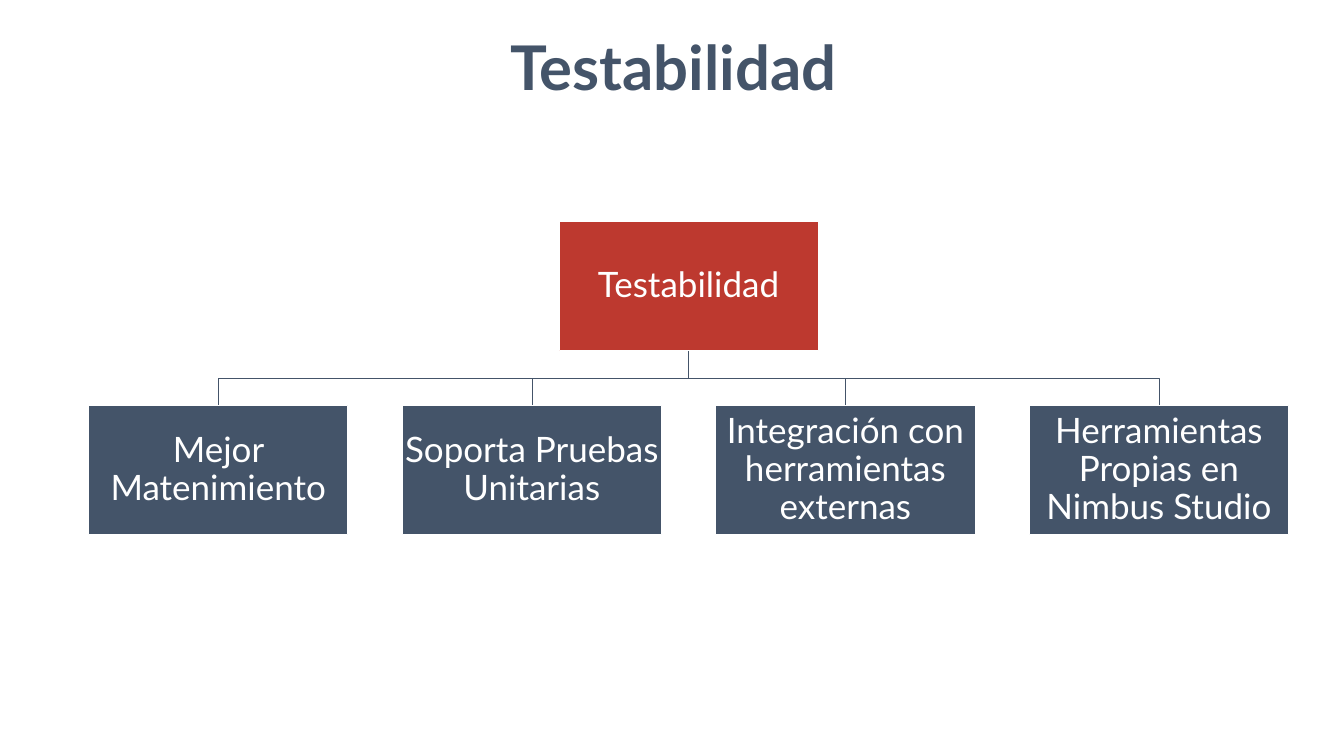
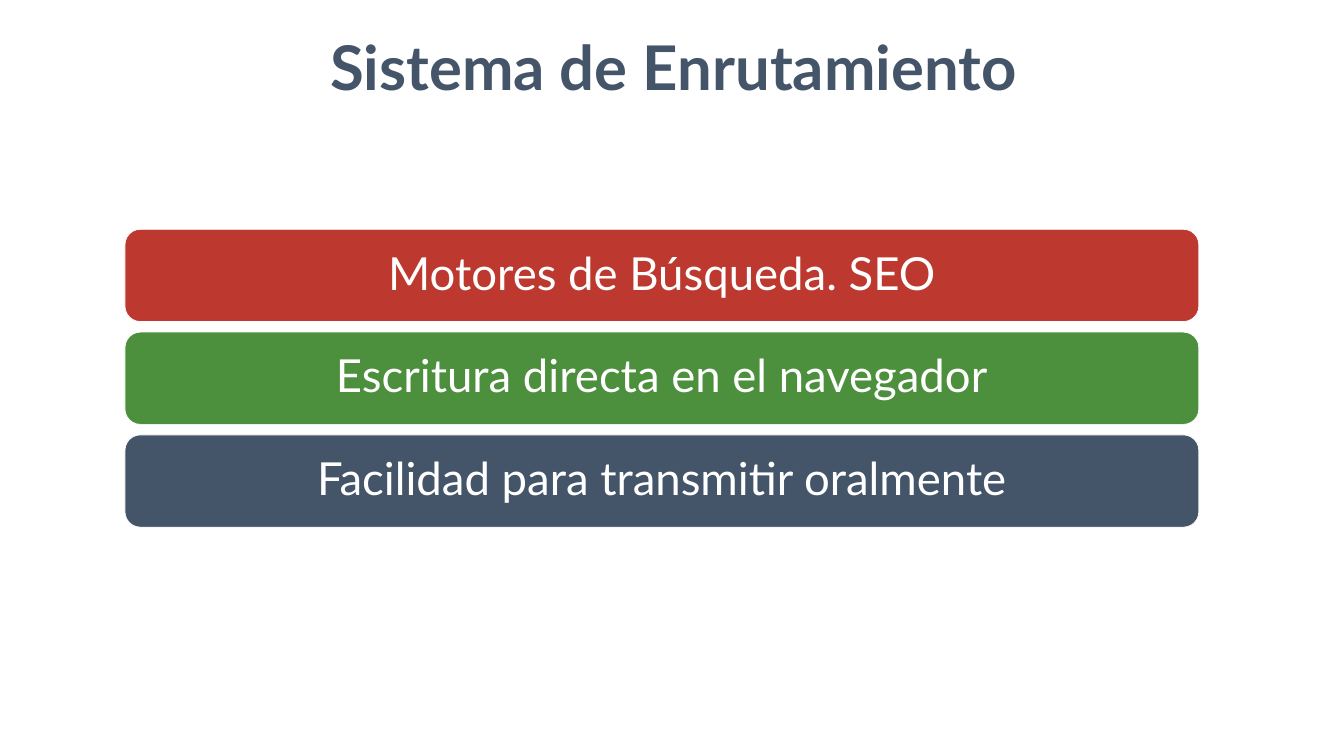
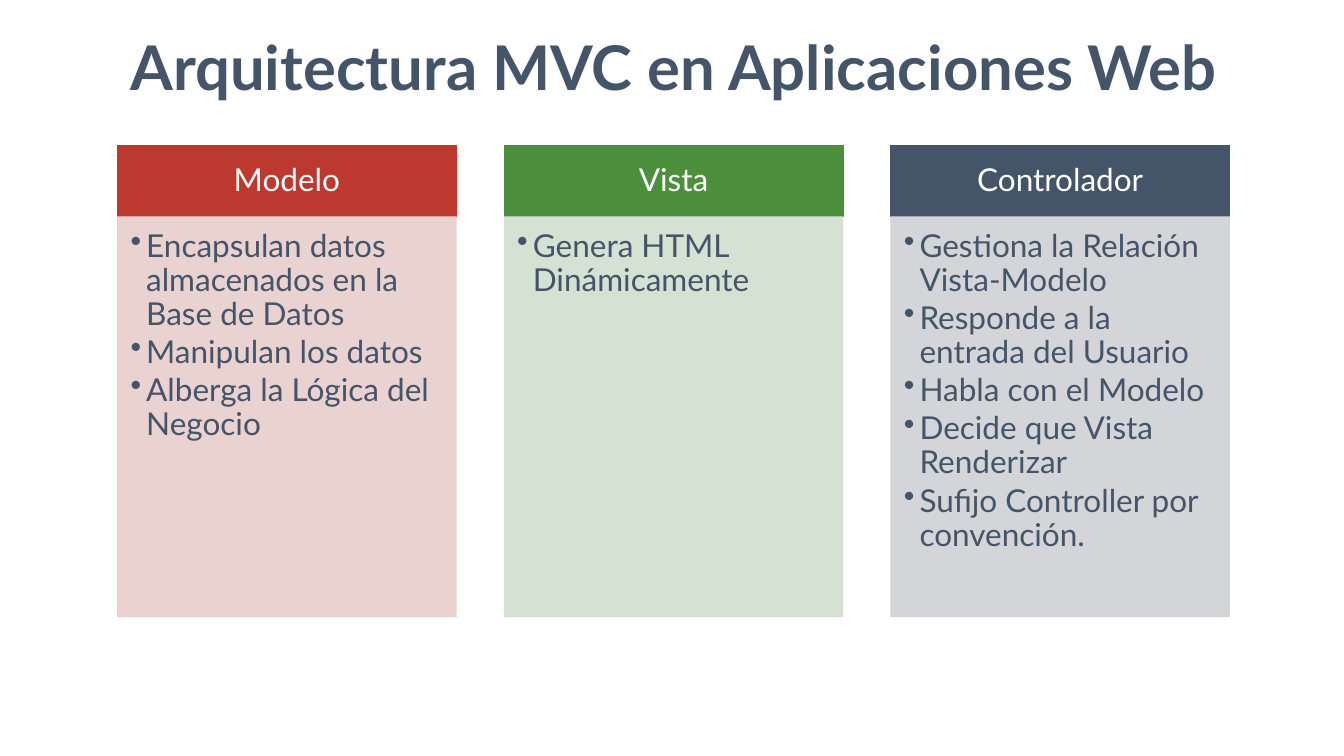
from lxml import etree
from pptx import Presentation
from pptx.dml.color import RGBColor
from pptx.enum import shapes, text
from pptx.oxml.ns import qn
from pptx.util import Inches, Pt

RED = RGBColor(0xBD, 0x39, 0x2F)
GREEN = RGBColor(0x4C, 0x90, 0x3D)
NAVY = RGBColor(0x44, 0x54, 0x69)
WHITE = RGBColor(0xFF, 0xFF, 0xFF)
PALE_RED = RGBColor(0xE8, 0xCE, 0xCD)
PALE_GREEN = RGBColor(0xD1, 0xDE, 0xCE)
PALE_NAVY = RGBColor(0xCF, 0xD1, 0xD4)

FONT = "Lato"
RECT = shapes.MSO_SHAPE.RECTANGLE
ROUNDED = shapes.MSO_SHAPE.ROUNDED_RECTANGLE


class Deck:
    def __init__(self):
        self.prs = Presentation()
        self.prs.slide_width = Inches(26.66)
        self.prs.slide_height = Inches(15)
        self.s = None

    def add_slide(self, title):
        self.s = self.prs.slides.add_slide(self.prs.slide_layouts[6])
        box = self.s.shapes.add_textbox(
            Inches(0.03), Inches(0.53), Inches(26.66), Inches(1.58))
        tf = self.frame(box, (0.1, 0.05, 0.1, 0.05), text.MSO_ANCHOR.TOP)
        tf.auto_size = text.MSO_AUTO_SIZE.SHAPE_TO_FIT_TEXT
        p = tf.paragraphs[0]
        p.alignment = text.PP_ALIGN.CENTER
        self.run(p, title, 88, NAVY, bold=True)

    def frame(self, sp, insets, anchor):
        """Set wrapping, insets (left, top, right, bottom) and anchor."""
        tf = sp.text_frame
        tf.word_wrap = True
        tf.margin_left, tf.margin_top, tf.margin_right, tf.margin_bottom = map(Inches, insets)
        tf.vertical_anchor = anchor
        return tf

    def run(self, p, words, size, color, bold=False):
        r = p.add_run()
        r.text = words
        r.font.name = FONT
        r.font.size = Pt(size)
        r.font.bold = bold
        r.font.color.rgb = color

    def block(self, kind, left, top, width, height, fill, line):
        sp = self.s.shapes.add_shape(
            kind, Inches(left), Inches(top), Inches(width), Inches(height))
        sp.shadow.inherit = False
        sp.fill.solid()
        sp.fill.fore_color.rgb = fill
        sp.line.color.rgb = line
        sp.line.width = Pt(1)
        return sp

    def label(self, kind, left, top, width, height, words, size, fill, line, insets):
        """Draw a filled block with one centred white text."""
        sp = self.block(kind, left, top, width, height, fill, line)
        p = self.frame(sp, insets, text.MSO_ANCHOR.MIDDLE).paragraphs[0]
        p.alignment = text.PP_ALIGN.CENTER
        p.line_spacing = 0.9
        self.run(p, words, size, WHITE)

    def bullets(self, left, top, width, height, items, fill):
        """Draw a slightly see-through panel with a bulleted list."""
        sp = self.block(RECT, left, top, width, height, fill, fill)
        for color in sp._element.spPr.iter(qn("a:srgbClr")):
            etree.SubElement(color, qn("a:alpha"), val="90000")
        tf = self.frame(sp, (0.26, 0.26, 0.35, 0.39), text.MSO_ANCHOR.TOP)
        for i, item in enumerate(items):
            p = tf.add_paragraph() if i else tf.paragraphs[0]
            pPr = p._p.get_or_add_pPr()
            pPr.set("marL", str(Inches(0.31)))
            pPr.set("indent", str(-Inches(0.31)))
            etree.SubElement(pPr, qn("a:buChar"), char="•")
            p.level = 1
            p.alignment = text.PP_ALIGN.LEFT
            p.line_spacing = 0.9
            p.space_after = Pt(6)
            self.run(p, item, 45, NAVY)

    def elbow(self, x1, y1, x2, y2):
        """Draw a line that goes down, across and down again."""
        middle = (y1 + y2) / 2
        builder = self.s.shapes.build_freeform(Inches(x1), Inches(y1))
        builder.add_line_segments(
            [(Inches(x), Inches(y)) for x, y in ((x1, middle), (x2, middle), (x2, y2))],
            close=False)
        sp = builder.convert_to_shape()
        sp.shadow.inherit = False
        sp.fill.background()
        sp.line.color.rgb = NAVY
        sp.line.width = Pt(1)


def testability(deck):
    deck.add_slide("Testabilidad")
    width, height, step = 5.14, 2.57, 6.22
    first_left, root_top, child_top = 1.76, 4.39, 8.04
    children = ["Mejor Matenimiento", "Soporta Pruebas Unitarias",
                "Integración con herramientas externas",
                "Herramientas Propias en Nimbus Studio"]
    root_left = first_left + step * (len(children) - 1) / 2
    lefts = [first_left + step * i for i in range(len(children))]
    for left in lefts:
        deck.elbow(root_left + width / 2, root_top + height, left + width / 2, child_top)
    nodes = [(root_left, root_top, "Testabilidad", RED)]
    nodes += [(left, child_top, words, NAVY) for left, words in zip(lefts, children)]
    for left, top, words, fill in nodes:
        deck.label(RECT, left, top, width, height, words, 50, fill, WHITE, (0.03,) * 4)


def routing(deck):
    deck.add_slide("Sistema de Enrutamiento")
    bars = [("Motores de Búsqueda. SEO", RED),
            ("Escritura directa en el navegador", GREEN),
            ("Facilidad para transmitir oralmente", NAVY)]
    for i, (words, fill) in enumerate(bars):
        deck.label(ROUNDED, 2.48, 4.55 + 2.04 * i, 21.3, 1.83, words, 65,
                   fill, WHITE, (0.27,) * 4)


def architecture(deck):
    deck.add_slide("Arquitectura MVC en Aplicaciones Web")
    columns = [
        ("Modelo", RED, PALE_RED,
         ["Encapsulan datos almacenados en la Base de Datos",
          "Manipulan los datos", "Alberga la Lógica del Negocio"]),
        ("Vista", GREEN, PALE_GREEN, ["Genera HTML Dinámicamente"]),
        ("Controlador", NAVY, PALE_NAVY,
         ["Gestiona la Relación Vista-Modelo", "Responde a la entrada del Usuario",
          "Habla con el Modelo", "Decide que Vista Renderizar",
          "Sufijo Controller por convención."]),
    ]
    width, top, head_height = 6.72, 2.88, 1.42
    for i, (heading, color, pale, items) in enumerate(columns):
        left = 2.33 + 7.67 * i
        deck.label(RECT, left, top, width, head_height, heading, 45,
                   color, color, (0.35, 0.2, 0.35, 0.2))
        deck.bullets(left, top + head_height, width, 7.94, items, pale)


def main():
    deck = Deck()
    testability(deck)
    routing(deck)
    architecture(deck)
    deck.prs.save("out.pptx")


if __name__ == "__main__":
    main()
